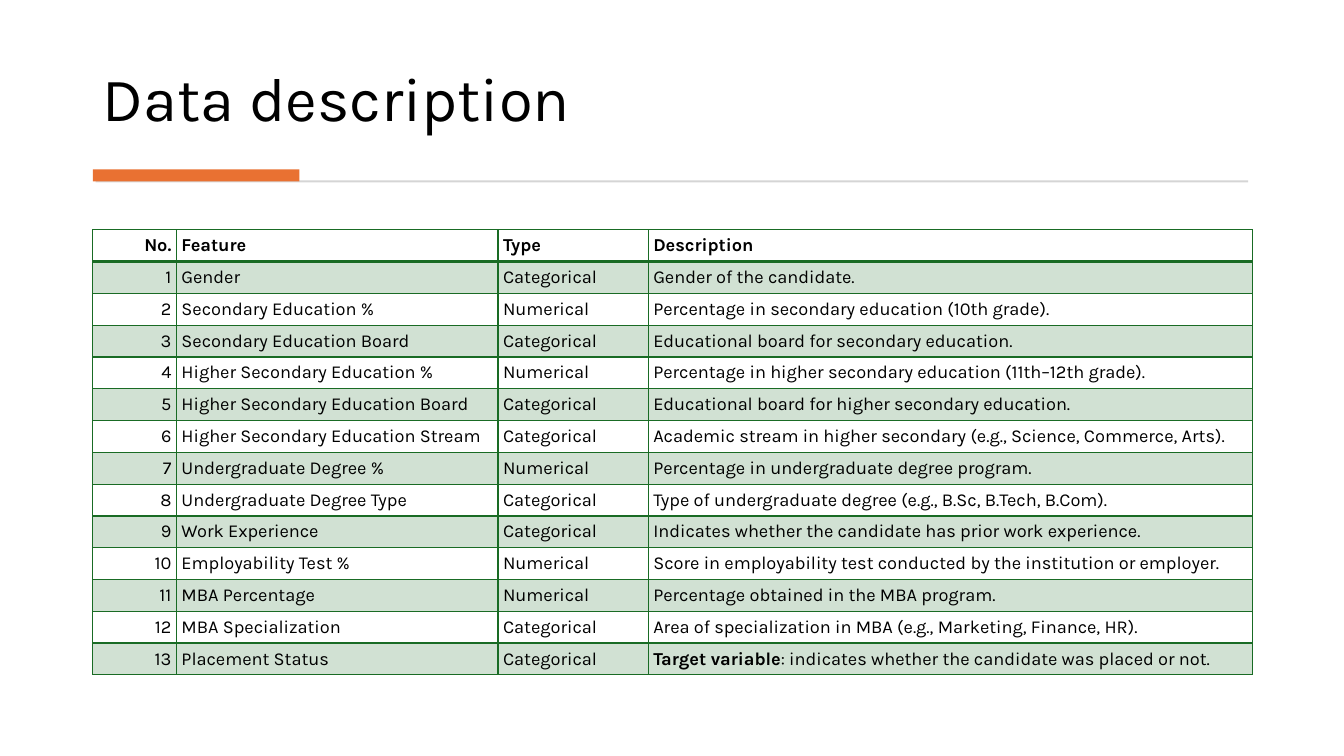
from dataclasses import dataclass
from typing import NamedTuple

from lxml.etree import SubElement
from pptx import Presentation
from pptx.dml.color import RGBColor
from pptx.enum.shapes import MSO_SHAPE
from pptx.enum.text import MSO_ANCHOR, MSO_AUTO_SIZE, PP_ALIGN
from pptx.oxml.ns import qn
from pptx.util import Emu, Pt

EMU_PER_PX = 9144


@dataclass(frozen=True)
class Theme:
    font: str = "Karla"
    text: str = "000000"
    rule: str = "D5D5D5"
    accent: str = "E97132"
    green: str = "196B24"
    band_alpha: int = 20
    title_size: int = 44
    table_size: int = 13
    line: int = 1
    header_line: int = 2


class Box(NamedTuple):
    left: int
    top: int
    width: int
    height: int


class Bar(NamedTuple):
    box: Box
    color: str


class Feature(NamedTuple):
    name: str
    kind: str
    description: str
    lead: str = ""


THEME = Theme()
SLIDE_WIDTH, SLIDE_HEIGHT = 1333, 750
TITLE_BOX = Box(92, 28, 1149, 111)
TABLE_BOX = Box(92, 228, 1150, 442)
COLUMN_WIDTHS = (83, 319, 149, 599)
CELL_MARGIN_X, CELL_MARGIN_Y = 5, 3
HEADERS = ("No.", "Feature", "Type", "Description")
BARS = (
    Bar(Box(95, 179, 1143, 2), THEME.rule),
    Bar(Box(92, 168, 205, 12), THEME.accent),
)
CAT, NUM = "Categorical", "Numerical"
FEATURES = (
    Feature("Gender", CAT, "Gender of the candidate."),
    Feature("Secondary Education %", NUM, "Percentage in secondary education (10th grade)."),
    Feature("Secondary Education Board", CAT, "Educational board for secondary education."),
    Feature("Higher Secondary Education %", NUM,
            "Percentage in higher secondary education (11th–12th grade)."),
    Feature("Higher Secondary Education Board", CAT,
            "Educational board for higher secondary education."),
    Feature("Higher Secondary Education Stream", CAT,
            "Academic stream in higher secondary (e.g., Science, Commerce, Arts)."),
    Feature("Undergraduate Degree %", NUM, "Percentage in undergraduate degree program."),
    Feature("Undergraduate Degree Type", CAT,
            "Type of undergraduate degree (e.g., B.Sc, B.Tech, B.Com)."),
    Feature("Work Experience", CAT, "Indicates whether the candidate has prior work experience."),
    Feature("Employability Test %", NUM,
            "Score in employability test conducted by the institution or employer."),
    Feature("MBA Percentage", NUM, "Percentage obtained in the MBA program."),
    Feature("MBA Specialization", CAT,
            "Area of specialization in MBA (e.g., Marketing, Finance, HR)."),
    Feature("Placement Status", CAT,
            ": indicates whether the candidate was placed or not.", "Target variable"),
)


def px(value: int) -> Emu:
    return Emu(value * EMU_PER_PX)


def add_run(p, text: str, size: int, bold: bool = False) -> None:
    r = p.add_run()
    r.text = text
    r.font.name = THEME.font
    r.font.size = Pt(size)
    r.font.bold = bold
    r.font.color.rgb = RGBColor.from_string(THEME.text)


def set_title(s, text: str) -> None:
    sp = s.shapes.title
    sp.left, sp.top, sp.width, sp.height = map(px, TITLE_BOX)
    tf = sp.text_frame
    tf.auto_size = MSO_AUTO_SIZE.NONE
    tf.vertical_anchor = MSO_ANCHOR.BOTTOM
    p = tf.paragraphs[0]
    p.alignment = PP_ALIGN.LEFT
    p.line_spacing = 0.9
    add_run(p, text, THEME.title_size)


def add_bar(s, bar: Bar) -> None:
    sp = s.shapes.add_shape(MSO_SHAPE.RECTANGLE, *map(px, bar.box))
    sp.shadow.inherit = False
    sp.fill.solid()
    sp.fill.fore_color.rgb = RGBColor.from_string(bar.color)
    sp.line.fill.background()


def set_borders(cell, row: int) -> None:
    tc_pr = cell._tc.get_or_add_tcPr()
    widths = {
        "L": THEME.line,
        "R": THEME.line,
        "T": THEME.header_line if row == 1 else THEME.line,
        "B": THEME.header_line if row == 0 else THEME.line,
    }
    for side, width in widths.items():
        ln = SubElement(tc_pr, qn(f"a:ln{side}"), w=str(Pt(width)))
        fill = SubElement(ln, qn("a:solidFill"))
        SubElement(fill, qn("a:srgbClr"), val=THEME.green)


def set_fill(cell, banded: bool) -> None:
    if not banded:
        cell.fill.background()
        return
    cell.fill.solid()
    cell.fill.fore_color.rgb = RGBColor.from_string(THEME.green)
    color = cell._tc.tcPr.find(qn("a:solidFill")).find(qn("a:srgbClr"))
    SubElement(color, qn("a:alpha"), val=str(THEME.band_alpha * 1000))


def fill_cell(cell, row: int, col: int, text: str, lead: str = "") -> None:
    cell.margin_left = cell.margin_right = px(CELL_MARGIN_X)
    cell.margin_top = cell.margin_bottom = px(CELL_MARGIN_Y)
    cell.vertical_anchor = MSO_ANCHOR.MIDDLE
    set_borders(cell, row)
    set_fill(cell, row % 2 == 1)
    p = cell.text_frame.paragraphs[0]
    p.alignment = PP_ALIGN.RIGHT if col == 0 else PP_ALIGN.LEFT
    if lead:
        add_run(p, lead, THEME.table_size, bold=True)
    add_run(p, text, THEME.table_size, bold=row == 0)


def add_feature_table(s) -> None:
    frame = s.shapes.add_table(len(FEATURES) + 1, len(HEADERS), *map(px, TABLE_BOX))
    table = frame.table
    table.horz_banding = False
    for column, width in zip(table.columns, COLUMN_WIDTHS):
        column.width = px(width)
    for col, header in enumerate(HEADERS):
        fill_cell(table.cell(0, col), 0, col, header)
    for row, feature in enumerate(FEATURES, start=1):
        texts = (str(row), feature.name, feature.kind, feature.description)
        for col, text in enumerate(texts):
            lead = feature.lead if col == len(HEADERS) - 1 else ""
            fill_cell(table.cell(row, col), row, col, text, lead)


def main() -> None:
    prs = Presentation()
    prs.slide_width, prs.slide_height = px(SLIDE_WIDTH), px(SLIDE_HEIGHT)
    s = prs.slides.add_slide(prs.slide_layouts[5])
    set_title(s, "Data description")
    for bar in BARS:
        add_bar(s, bar)
    add_feature_table(s)
    prs.save("out.pptx")


if __name__ == "__main__":
    main()
